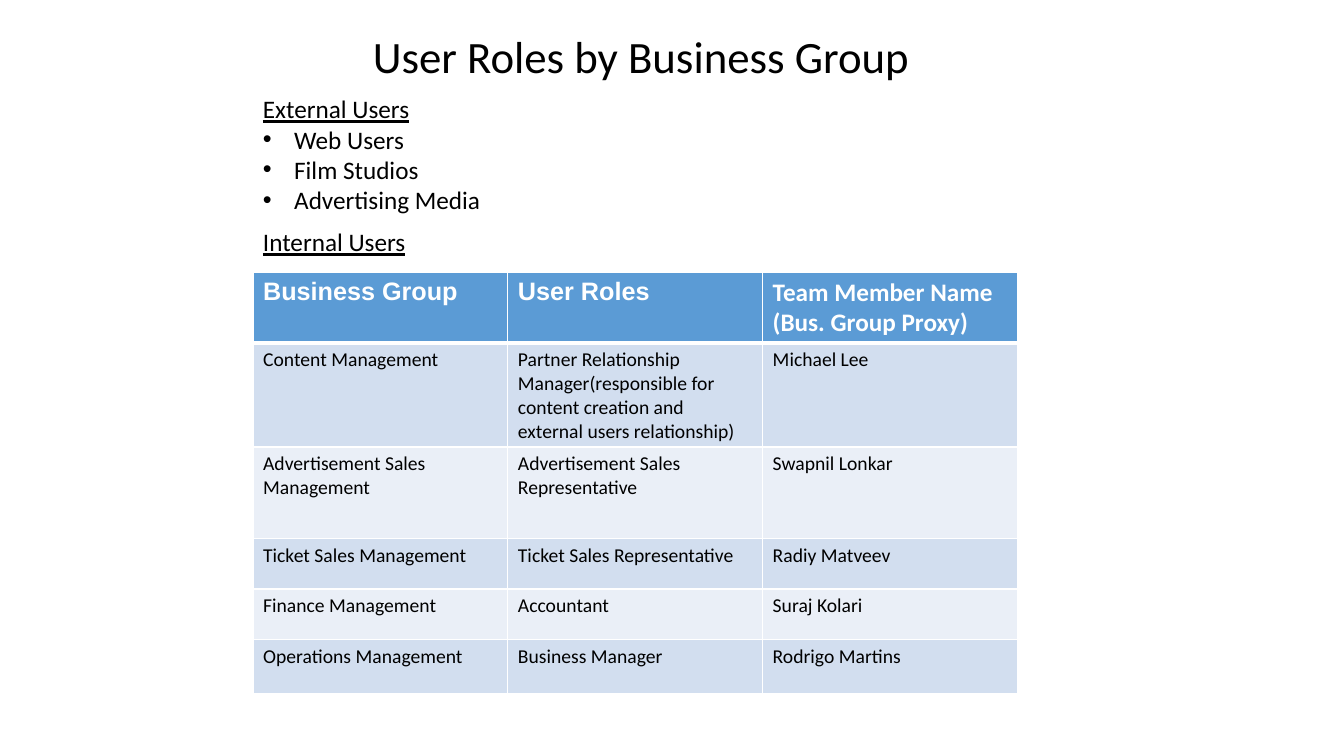
"""Build the slide that lists user roles by business group."""
from collections import namedtuple

from lxml import etree
from pptx import Presentation, util as u
from pptx.dml.color import RGBColor
from pptx.enum import text
from pptx.oxml import ns

Theme = namedtuple("Theme", "ink paper header bands font header_font title heading body")
theme = Theme(ink="000000", paper="FFFFFF", header="5B9BD5", bands=("D2DEEF", "EAEFF7"),
              font="Calibri", header_font="Arial", title=32, heading=18, body=14)


def write(frame, lines, size, color=theme.ink, font=theme.font, bold=False,
          underlined=(), bulleted=()):
    """Fill a text frame with one paragraph per line."""
    for index, line in enumerate(lines):
        paragraph = frame.paragraphs[0] if index == 0 else frame.add_paragraph()
        run = paragraph.add_run()
        run.text = line
        run.font.size = u.Pt(size)
        run.font.name = font
        run.font.bold = bold
        run.font.underline = index in underlined
        run.font.color.rgb = RGBColor.from_string(color)
        if index in bulleted:
            props = paragraph._p.get_or_add_pPr()
            indent = u.Inches(0.31)
            props.set("marL", str(indent))
            props.set("indent", str(-indent))
            etree.SubElement(props, ns.qn("a:buFont"), typeface="Arial")
            etree.SubElement(props, ns.qn("a:buChar"), char="•")


def edge(cell, side, points):
    """Draw one white border of a table cell."""
    line = etree.SubElement(cell._tc.get_or_add_tcPr(), ns.qn(f"a:ln{side}"),
                            w=str(u.Pt(points)))
    fill = etree.SubElement(line, ns.qn("a:solidFill"))
    etree.SubElement(fill, ns.qn("a:srgbClr"), val=theme.paper)


deck = Presentation()
deck.slide_width, deck.slide_height = u.Inches(13.33), u.Inches(7.5)
slide = deck.slides.add_slide(deck.slide_layouts[6])
column, row = deck.slide_width / 100, deck.slide_height / 100
margin = 18.83

passages = [
    ((27, 3.2, 41.79, 8.53), ["User Roles by Business Group"], theme.title, (), ()),
    ((margin, 11.73, 17.85, 17.47),
     ["External Users", "Web Users", "Film Studios", "Advertising Media"],
     theme.heading, (0,), (1, 2, 3)),
    ((margin, 29.33, 12.23, 5.33), ["Internal Users"], theme.heading, (0,), ()),
]
for (left, top, width, height), lines, size, underlined, bulleted in passages:
    frame = slide.shapes.add_textbox(int(left * column), int(top * row),
                                     int(width * column), int(height * row)).text_frame
    frame.word_wrap = False
    frame.auto_size = text.MSO_AUTO_SIZE.SHAPE_TO_FIT_TEXT
    write(frame, lines, size, underlined=underlined, bulleted=bulleted)

headings = [
    (["Business Group"], theme.header_font),
    (["User Roles"], theme.header_font),
    (["Team Member Name", "(Bus. Group Proxy)"], theme.font),
]
roles = [
    ("Content Management",
     "Partner Relationship Manager(responsible for content creation and "
     "external users relationship)", "Michael Lee"),
    ("Advertisement Sales Management", "Advertisement Sales Representative",
     "Swapnil Lonkar"),
    ("Ticket Sales Management", "Ticket Sales Representative", "Radiy Matveev"),
    ("Finance Management", "Accountant", "Suraj Kolari"),
    ("Operations Management", "Business Manager", "Rodrigo Martins"),
]
row_shares = [8.8, 13.07, 12.13, 6.67, 6.67, 7.2]
role_table = slide.shapes.add_table(
    len(row_shares), len(headings), int(margin * column), int(36 * row),
    int(56.88 * column), int(sum(row_shares) * row)).table

for line, share in enumerate(row_shares):
    role_table.rows[line].height = int(share * row)
    for place, (heading, heading_font) in enumerate(headings):
        cell = role_table.cell(line, place)
        for side in "LRTB":
            beside_header = (line, side) in ((0, "B"), (1, "T"))
            edge(cell, side, 3 if beside_header else 1)
        cell.fill.solid()
        if line == 0:
            shade = theme.header
            write(cell.text_frame, heading, theme.heading, theme.paper, heading_font, bold=True)
        else:
            shade = theme.bands[(line - 1) % 2]
            write(cell.text_frame, [roles[line - 1][place]], theme.body)
        cell.fill.fore_color.rgb = RGBColor.from_string(shade)

deck.save("out.pptx")
